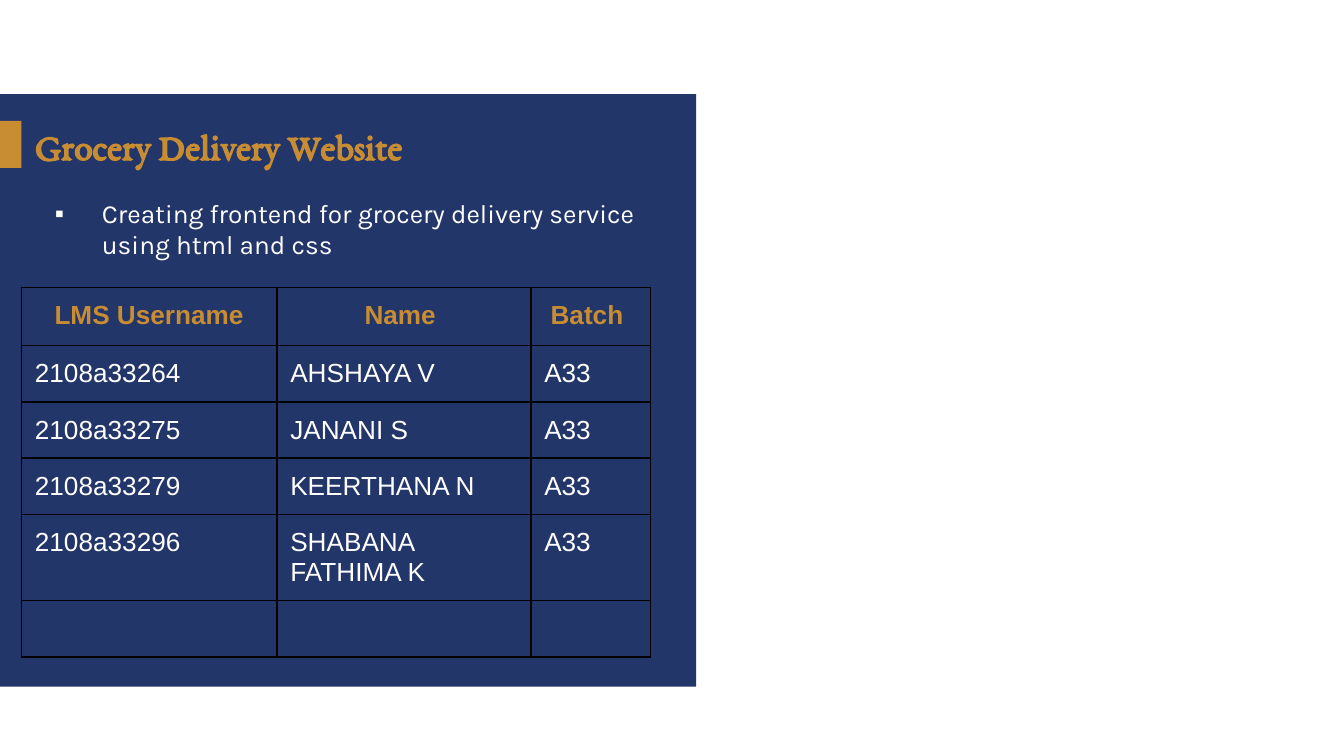
from lxml.etree import SubElement
from pptx import Presentation
from pptx.dml.color import RGBColor
from pptx.enum.shapes import MSO_SHAPE
from pptx.enum.text import MSO_ANCHOR, PP_ALIGN
from pptx.oxml.ns import qn
from pptx.util import Inches, Pt

# Content
TITLE = "Grocery Delivery Website"
SUMMARY = "Creating frontend for grocery delivery service using html and css"
HEADER = ("LMS Username", "Name ", "Batch ")
MEMBERS = [
    ("2108a33264", "AHSHAYA V", "A33"),
    ("2108a33275", "JANANI S", "A33"),
    ("2108a33279", "KEERTHANA N", "A33"),
    ("2108a33296", "SHABANA FATHIMA K", "A33"),
    ("", "", ""),
]

# Layout in inches, on a 16:9 slide
SLIDE_SIZE = (10, 10 * 9 / 16)
MARGIN = 0.16
COLUMN_WIDTHS = (1.9, 1.89, 0.89)
ROW_HEIGHTS = (0.43, 0.42, 0.42, 0.42, 0.64, 0.42)
CELL_PADDING = 0.1
CELL_BOTTOM = 0.07


class Theme:
    navy = "223669"
    gold = "C88C32"
    white = "FFFFFF"
    black = "000000"
    title_font, title_size = "EB Garamond", 20
    body_font, table_font, body_size = "Karla", "Arial", 14
    border_width = 1


def add_panel(page, bounds, color):
    panel = page.shapes.add_shape(MSO_SHAPE.RECTANGLE, *map(Inches, bounds))
    panel.shadow.inherit = False
    panel.fill.solid()
    panel.fill.fore_color.rgb = RGBColor.from_string(color)
    panel.line.fill.background()


def style_text(para, font, size, color, bold=False):
    for span in para.runs:
        span.font.name = font
        span.font.size = Pt(size)
        span.font.bold = bold
        span.font.color.rgb = RGBColor.from_string(color)


def add_text(page, bounds, text, anchor):
    box = page.shapes.add_textbox(*map(Inches, bounds))
    frame = box.text_frame
    frame.word_wrap = True
    frame.vertical_anchor = anchor
    frame.text = text
    return frame.paragraphs[0]


def add_color(parent, color):
    SubElement(parent, qn("a:srgbClr"), val=color)


def add_bullet(para, left, indent):
    properties = para._p.get_or_add_pPr()
    properties.set("marL", str(Inches(left)))
    properties.set("indent", str(Inches(indent)))
    add_color(SubElement(properties, qn("a:buClr")), Theme.white)
    SubElement(properties, qn("a:buFont"), typeface=Theme.table_font)
    SubElement(properties, qn("a:buChar"), char="▪")


def add_borders(cell):
    properties = cell._tc.get_or_add_tcPr()
    for side in ("lnL", "lnR", "lnT", "lnB"):
        line = SubElement(properties, qn(f"a:{side}"), w=str(Pt(Theme.border_width)))
        add_color(SubElement(line, qn("a:solidFill")), Theme.black)


def fill_cell(cell, text, is_header):
    cell.margin_left = cell.margin_right = Inches(CELL_PADDING)
    # An empty cell needs no padding, so its row keeps the set height
    cell.margin_top = Inches(CELL_PADDING if text else 0)
    cell.margin_bottom = Inches(CELL_BOTTOM if text else 0)
    add_borders(cell)
    cell.fill.background()
    cell.text_frame.text = text
    para = cell.text_frame.paragraphs[0]
    if is_header:
        para.alignment = PP_ALIGN.CENTER
    color = Theme.gold if is_header else Theme.white
    style_text(para, Theme.table_font, Theme.body_size, color, is_header)


def add_member_table(page, left, top):
    rows = [HEADER, *MEMBERS]
    size = (sum(COLUMN_WIDTHS), sum(ROW_HEIGHTS))
    table = page.shapes.add_table(
        len(rows), len(HEADER), *map(Inches, (left, top, *size))
    ).table
    table.first_row = table.horz_banding = False
    for column, width in zip(table.columns, COLUMN_WIDTHS):
        column.width = Inches(width)
    for row, height in zip(table.rows, ROW_HEIGHTS):
        row.height = Inches(height)
    for row_index, values in enumerate(rows):
        for column_index, text in enumerate(values):
            fill_cell(table.cell(row_index, column_index), text, row_index == 0)


def main():
    deck = Presentation()
    deck.slide_width, deck.slide_height = map(Inches, SLIDE_SIZE)
    page = deck.slides.add_slide(deck.slide_layouts[6])

    # Navy panel with gold tab
    add_panel(page, (0, 0.7, 5.18, 4.41), Theme.navy)
    add_panel(page, (0, 0.9, MARGIN, 0.35), Theme.gold)

    # Summary bullet
    summary = add_text(page, (MARGIN, 1.42, 4.75, 3.32), SUMMARY, MSO_ANCHOR.TOP)
    add_bullet(summary, 0.5, -0.35)
    style_text(summary, Theme.body_font, Theme.body_size, Theme.white)

    # Title
    title = add_text(page, (MARGIN, 0.89, 3.74, 0.38), TITLE, MSO_ANCHOR.MIDDLE)
    style_text(title, Theme.title_font, Theme.title_size, Theme.gold, bold=True)

    # Team members
    add_member_table(page, MARGIN, 2.14)

    deck.save("out.pptx")


if __name__ == "__main__":
    main()
